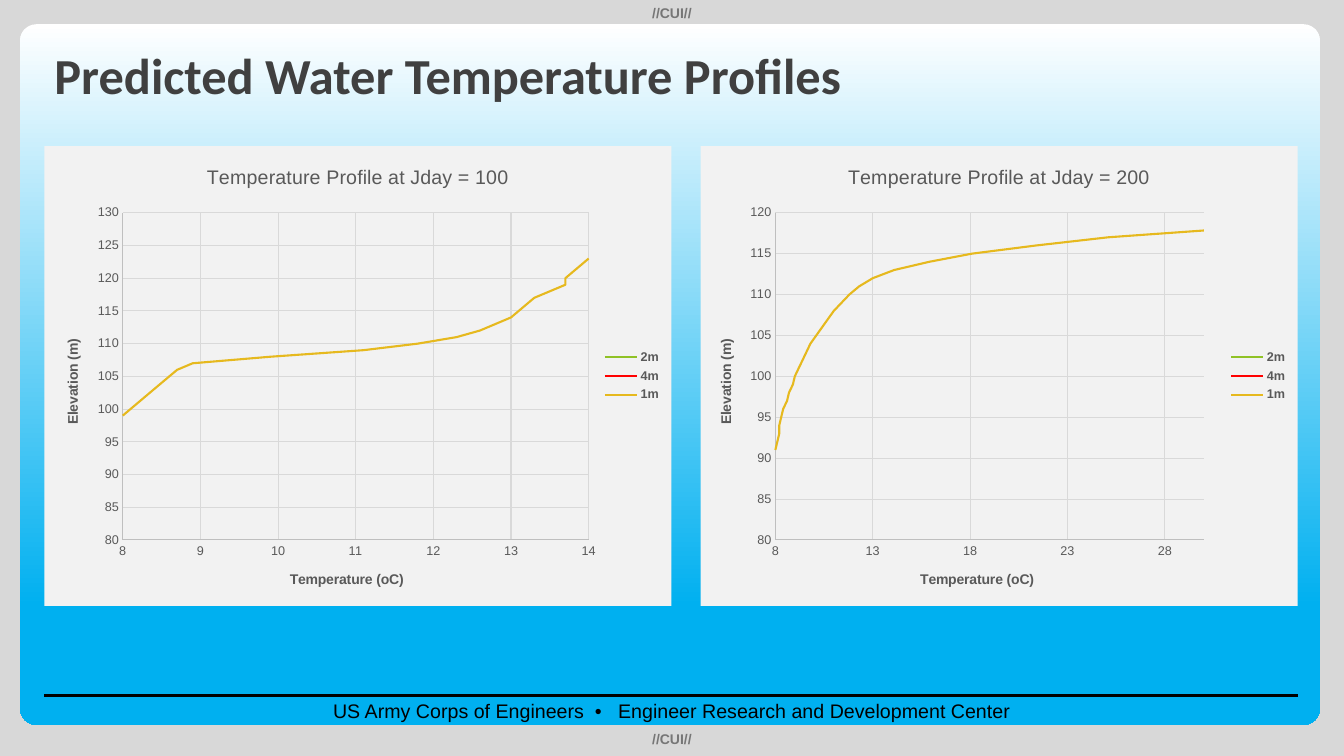
from lxml import etree
from pptx import Presentation
from pptx.chart.data import XyChartData
from pptx.dml.color import RGBColor as Rgb
from pptx.enum.chart import XL_CHART_TYPE as ChartType, XL_LEGEND_POSITION as LegendSide
from pptx.enum.chart import XL_TICK_MARK as TickMark
from pptx.enum.shapes import MSO_CONNECTOR as Connector, MSO_SHAPE as Preset
from pptx.enum.text import MSO_ANCHOR as Anchor, PP_ALIGN as Align
from pptx.oxml import parse_xml
from pptx.oxml.ns import nsdecls, qn
from pptx.util import Inches, Pt

WIDTH, HEIGHT = 13.33, 7.5
LEFT, RIGHT = 0.44, 12.87
CHART_TOP, CHART_HEIGHT = 1.45, 4.56
COLORS = {
    "page": "D8D8D8", "white": "FFFFFF", "water": "00B0F0", "black": "000000",
    "marking": "767676", "title": "404040", "label": "595959", "axis": "BFBFBF",
    "grid": "D9D9D9", "chart": "F2F2F2", "2m": "90C226", "4m": "FF0000", "1m": "E6B91E",
}
# Each layer thickness: top elevation, bottom elevation, step
ELEVATIONS = {
    "2m": [122, *range(119, 76, -2)],
    "4m": [121, *range(116, 75, -4)],
    "1m": list(range(123, 75, -1)),
}
DAY_100 = {
    "2m": [13.9, 13.8, 13.6, 13, 13, 12.9, 11.6, 9.9, 8.7, 8.5, 8.4, 8.1, 7.9, 7.7, 7.5,
           7.4] + [7.3] * 7,
    "4m": [13.8, 13.5, 13.2, 12.1, 10, 8.4, 8.1, 7.8] + [7.7] * 4,
    "1m": [14, 13.9, 13.8, 13.7, 13.7, 13.5, 13.3, 13.2, 13.1, 13, 12.8, 12.6, 12.3, 11.8,
           11.1, 9.9, 8.9, 8.7, 8.6, 8.5, 8.4, 8.3, 8.2, 8.1, 8, 7.9, 7.8, 7.7, 7.6, 7.6,
           7.5, 7.5, 7.4, 7.4, 7.4] + [7.3] * 13,
}
DAY_200 = {
    "2m": [34, 33, 33, 28, 20, 16, 12, 11, 10, 10, 9, 9, 9] + [8] * 10,
    "4m": [33, 33, 25, 17, 13, 10, 9] + [8] * 5,
    "1m": [34, 34, 33, 33, 33, 31, 25.1, 21.4, 18.1, 15.9, 14.1, 13, 12.3, 11.8, 11.4, 11,
           10.7, 10.4, 10.1, 9.8, 9.6, 9.4, 9.2, 9, 8.9, 8.7, 8.6, 8.4, 8.3, 8.2, 8.2, 8.1,
           8] + [7.9] * 15,
}


def color(name):
    return Rgb.from_string(COLORS[name])


def set_font(font, shade, **values):
    for name, value in values.items():
        setattr(font, name, value)
    font.color.rgb = color(shade)


def set_line(line, shade, points):
    line.color.rgb = color(shade)
    line.width = Pt(points)


def add_panel(page):
    panel = page.shapes.add_shape(Preset.ROUNDED_RECTANGLE, Inches(0.2), Inches(0.24),
                                  Inches(12.89), Inches(6.95))
    panel.adjustments[0] = 0.023
    panel.shadow.inherit = False
    panel.line.fill.background()
    panel.fill.gradient()
    panel.fill.gradient_angle = 270
    for stop, (position, shade) in zip(panel.fill.gradient_stops,
                                       [(0, "white"), (0.83, "water")]):
        stop.position = position
        stop.color.rgb = color(shade)


def add_rule(page, top):
    rule = page.shapes.add_connector(Connector.STRAIGHT, Inches(LEFT), Inches(top),
                                     Inches(RIGHT), Inches(top))
    set_line(rule.line, "black", 1.5)
    etree.SubElement(rule.line._get_or_add_ln().getparent(), qn("a:effectLst"))


def add_centred_text(page, text, top, height, shade, **font):
    box = page.shapes.add_textbox(0, Inches(top), Inches(WIDTH), Inches(height))
    box.text_frame.word_wrap = True
    para = box.text_frame.paragraphs[0]
    para.alignment = Align.CENTER
    span = para.add_run()
    span.text = text
    set_font(span.font, shade, name="Arial", **font)


def format_title(page, text):
    title = page.shapes.title
    for name, value in zip(("left", "top", "width", "height"), (LEFT, 0.3, 12.22, 0.88)):
        setattr(title, name, Inches(value))
    frame = title.text_frame
    frame.vertical_anchor = Anchor.MIDDLE
    para = frame.paragraphs[0]
    para.alignment = Align.LEFT
    span = para.add_run()
    span.text = text
    set_font(span.font, "title", name="Calibri", size=Pt(36), bold=True)
    page.shapes._spTree.append(title._element)


def set_heading(owner, text, size, bold):
    """Write the title of a chart or of an axis."""
    para = (owner.chart_title if hasattr(owner, "chart_title")
            else owner.axis_title).text_frame.paragraphs[0]
    span = para.add_run()
    span.text = text
    set_font(span.font, "label", name="Arial", size=Pt(size), bold=bold)


def format_axis(axis, heading, low, high, step):
    values = {"minimum_scale": low, "maximum_scale": high, "major_unit": step,
              "major_tick_mark": TickMark.NONE, "minor_tick_mark": TickMark.NONE,
              "has_major_gridlines": True}
    for name, value in values.items():
        setattr(axis, name, value)
    set_line(axis.format.line, "axis", 0.75)
    set_line(axis.major_gridlines.format.line, "grid", 0.75)
    set_font(axis.tick_labels.font, "label", name="Arial", size=Pt(9))
    set_heading(axis, heading, 10, True)


def set_chart_areas(chart, plot_width):
    """Fill the chart area and fix the inner plot area as shares of the chart."""
    chart.font._element.getparent()
    chart._chartSpace.find(qn("c:txPr")).addprevious(parse_xml(
        f'<c:spPr {nsdecls("c", "a")}><a:solidFill><a:srgbClr val="{COLORS["chart"]}"/>'
        '</a:solidFill><a:ln><a:noFill/></a:ln></c:spPr>'))
    plot_area = chart._chartSpace.chart.plotArea
    for layout in plot_area.findall(qn("c:layout")):
        plot_area.remove(layout)
    shares = {"x": 0.125, "y": 0.145, "w": plot_width, "h": 0.712}
    modes = '<c:layoutTarget val="inner"/><c:xMode val="edge"/><c:yMode val="edge"/>'
    sizes = "".join(f'<c:{name} val="{share}"/>' for name, share in shares.items())
    plot_area.insert(0, parse_xml(f'<c:layout {nsdecls("c")}><c:manualLayout>{modes}{sizes}'
                                  '</c:manualLayout></c:layout>'))


def add_profile(page, day, temperatures, left, width, plot_width, x_scale, y_scale):
    data = XyChartData()
    for layer, elevations in ELEVATIONS.items():
        series = data.add_series(layer)
        for temperature, elevation in zip(temperatures[layer], elevations):
            series.add_data_point(temperature, elevation)
    chart = page.shapes.add_chart(ChartType.XY_SCATTER_LINES_NO_MARKERS, Inches(left),
                                  Inches(CHART_TOP), Inches(width), Inches(CHART_HEIGHT),
                                  data).chart
    set_font(chart.font, "black", name="Arial", size=Pt(10))
    set_chart_areas(chart, plot_width)
    set_heading(chart, f"Temperature Profile at Jday = {day}", 14, False)
    format_axis(chart.category_axis, "Temperature (oC)", *x_scale)
    format_axis(chart.value_axis, "Elevation (m)", *y_scale)
    chart.has_legend = True
    chart.legend.position = LegendSide.RIGHT
    chart.legend.include_in_layout = False
    set_font(chart.legend.font, "label", name="Arial", size=Pt(9), bold=True)
    chart.plots[0].vary_by_categories = False
    for series in chart.plots[0].series:
        series.smooth = False
        set_line(series.format.line, series.name, 1.5)


def main():
    deck = Presentation()
    deck.slide_width, deck.slide_height = Inches(WIDTH), Inches(HEIGHT)
    page = deck.slides.add_slide(deck.slide_layouts[5])
    page.background.fill.solid()
    page.background.fill.fore_color.rgb = color("page")
    add_panel(page)
    add_rule(page, 6.9)
    add_centred_text(page, "US Army Corps of Engineers  •   Engineer Research and "
                     "Development Center", 6.88, 0.34, "black", size=Pt(14))
    for top in (0, 7.2):
        add_centred_text(page, "//CUI//", top, 0.27, "marking", size=Pt(10), bold=True)
    format_title(page, "Predicted Water Temperature Profiles")
    add_profile(page, 200, DAY_200, 6.95, 5.92, 0.718, (8, 30, 5), (80, 120, 5))
    add_profile(page, 100, DAY_100, LEFT, 6.22, 0.743, (8, 14, 1), (80, 130, 5))
    deck.save("out.pptx")


if __name__ == "__main__":
    main()
